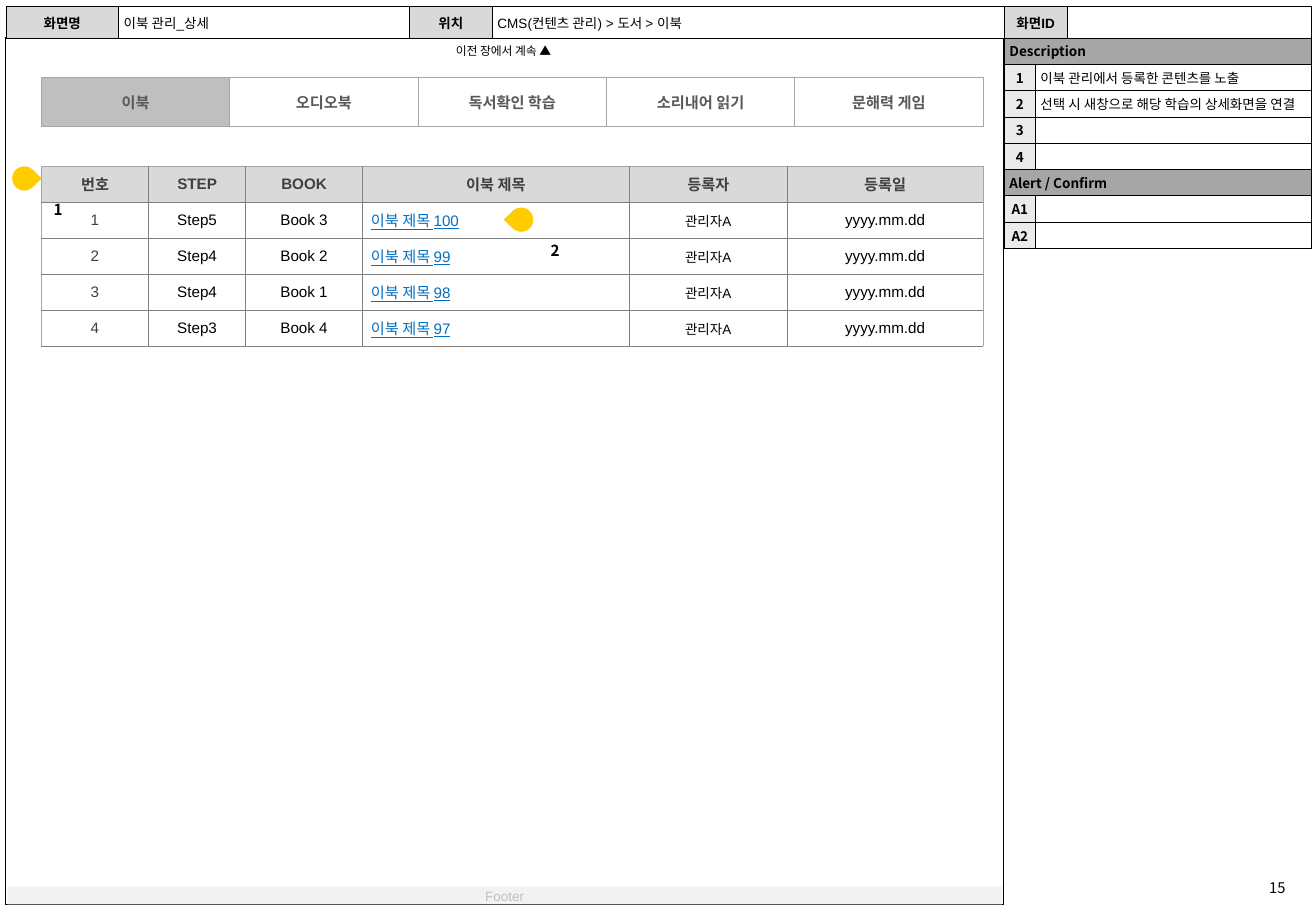
import pptx
import pptx.dml.color
import pptx.enum.shapes
import pptx.enum.text
import pptx.oxml
import pptx.oxml.ns
import pptx.util

Pt = pptx.util.Pt
ALIGN = pptx.enum.text.PP_ALIGN
SHAPE = pptx.enum.shapes.MSO_SHAPE
MIDDLE = pptx.enum.text.MSO_ANCHOR.MIDDLE
NOTO = "Noto Sans CJK KR"
COLORS = {
    "black": "000000", "white": "FFFFFF", "link": "0070C0", "marker": "FFCC00",
    "dark": "404040", "tab_text": "595959", "grid": "808080", "edge": "A6A6A6",
    "selected": "BFBFBF", "header": "D9D9D9", "number": "EAEAEA", "footer": "F2F2F2",
}


def rgb(name):
    return pptx.dml.color.RGBColor.from_string(COLORS[name])


class Storyboard:
    def __init__(self, slide):
        self.slide = slide

    def set_text(self, frame, text, size, font=NOTO, color="black", bold=False,
                 align=ALIGN.CENTER, underline=False, before=0, after=0):
        para = frame.paragraphs[0]
        para.text = text
        para.alignment = align
        para.space_before, para.space_after = Pt(before), Pt(after)
        para.font.size, para.font.name = Pt(size), font
        para.font.bold, para.font.underline = bold, underline
        para.font.color.rgb = rgb(color)
        # Korean glyphs take the East Asian typeface
        latin = para._p.find(".//" + pptx.oxml.ns.qn("a:latin"))
        latin.addnext(pptx.oxml.parse_xml(
            f'<a:ea {pptx.oxml.ns.nsdecls("a")} typeface="{NOTO}"/>'))

    def shape(self, kind, left, top, width, height, fill=None, line=None, parent=None):
        shapes = (parent or self.slide).shapes
        shape = shapes.add_shape(kind, Pt(left), Pt(top), Pt(width), Pt(height))
        shape.shadow.inherit = False
        if fill:
            shape.fill.solid()
            shape.fill.fore_color.rgb = rgb(fill)
        else:
            shape.fill.background()
        if line:
            shape.line.color.rgb = rgb(line)
            shape.line.width = Pt(0.25)
        else:
            shape.line.fill.background()
        return shape

    def text(self, left, top, width, height, text, size, parent=None, wrap=False, **style):
        shapes = (parent or self.slide).shapes
        box = shapes.add_textbox(Pt(left), Pt(top), Pt(width), Pt(height))
        box.text_frame.word_wrap = wrap
        self.set_text(box.text_frame, text, size, **style)

    def table(self, left, top, widths, row_height, row_count):
        frame = self.slide.shapes.add_table(
            row_count, len(widths), Pt(left), Pt(top), Pt(sum(widths)),
            Pt(row_height * row_count))
        table = frame.table
        table.first_row = table.horz_banding = False
        for column, width in zip(table.columns, widths):
            column.width = Pt(width)
        for row in table.rows:
            row.height = Pt(row_height)
        return table

    def cell(self, cell, text, size, fill="white", borders=("black",) * 4,
             margins=(3, 2), **style):
        """Fill one cell; borders run left, right, top, bottom."""
        cell.vertical_anchor = MIDDLE
        cell.margin_left = cell.margin_right = Pt(margins[0])
        cell.margin_top = cell.margin_bottom = Pt(margins[1])
        cell.fill.solid()
        cell.fill.fore_color.rgb = rgb(fill)
        self.set_text(cell.text_frame, text, size, **style)
        properties = cell._tc.get_or_add_tcPr()
        for index, (side, color) in enumerate(zip("LRTB", borders)):
            properties.insert(index, pptx.oxml.parse_xml(
                f'<a:ln{side} {pptx.oxml.ns.nsdecls("a")} w="{Pt(0.25)}"><a:solidFill>'
                f'<a:srgbClr val="{COLORS[color]}"/></a:solidFill></a:ln{side}>'))

    def marker(self, left, top, number, rotation):
        group = self.slide.shapes.add_group_shape()
        drop = self.shape(SHAPE.TEAR, left, top, 14.4, 14.4, fill="marker", parent=group)
        drop.adjustments[0] = 1.02
        drop.rotation = rotation
        self.text(left + 17.3, top + 16.5, 20, 18, number, 9, parent=group, bold=True)


def add_frame(board):
    board.shape(SHAPE.RECTANGLE, 2.9, 21.9, 591.8, 514, line="black")
    board.text(259.2, 22.3, 78.5, 16, "이전 장에서 계속 ▲", 7)
    board.text(736.6, 517.5, 41, 18.7, "15", 8.7, wrap=True)
    footer = board.shape(SHAPE.RECTANGLE, 4.3, 525.6, 589.7, 10.6, fill="footer")
    footer.text_frame.vertical_anchor = MIDDLE
    footer.text_frame.margin_top = footer.text_frame.margin_bottom = 0
    board.set_text(footer.text_frame, "Footer", 8, font="Arial", color="selected")


def add_screen_header(board):
    texts = ["화면명", "이북 관리_상세", "위치", "CMS(컨텐츠 관리) > 도서 > 이북", "화면ID", ""]
    table = board.table(3.6, 3.9, [66.7, 172.4, 49.2, 303.4, 37.3, 144.6], 18.6, 1)
    for index, text in enumerate(texts):
        label = index % 2 == 0
        board.cell(table.cell(0, index), text, 8, fill="header" if label else "white",
                   font="Arial", bold=label, before=1.6,
                   align=ALIGN.CENTER if label else ALIGN.LEFT)


def add_description(board):
    rows = [("Description", None), ("1", "이북 관리에서 등록한 콘텐츠를 노출"),
            ("2", "선택 시 새창으로 해당 학습의 상세화면을 연결"), ("3", ""), ("4", ""),
            ("Alert / Confirm", None), ("A1", ""), ("A2", "")]
    table = board.table(595.3, 22.4, [18.4, 163.6], 15.6, len(rows))
    for index, (label, text) in enumerate(rows):
        heading = text is None
        if heading:
            table.cell(index, 0).merge(table.cell(index, 1))
        board.cell(table.cell(index, 0), label, 8, fill="edge" if heading else "number",
                   bold=True, before=1.6, align=ALIGN.LEFT if heading else ALIGN.CENTER)
        board.cell(table.cell(index, 1), text or "", 8, before=1.6, align=ALIGN.LEFT)


def add_tabs(board):
    tabs = ["이북", "오디오북", "독서확인 학습", "소리내어 읽기", "문해력 게임"]
    table = board.table(24.5, 46, [111.64] * len(tabs), 29, 1)
    for index, text in enumerate(tabs):
        board.cell(table.cell(0, index), text, 9, fill="white" if index else "selected",
                   borders=("edge",) * 4, color="tab_text", bold=True)


def add_book_list(board):
    headings = ["번호", "STEP", "BOOK", "이북 제목", "등록자", "등록일"]
    books = [("Step5", "Book 3", 100), ("Step4", "Book 2", 99),
             ("Step4", "Book 1", 98), ("Step3", "Book 4", 97)]
    rows = [headings] + [
        [str(number), step, book, f"이북 제목 {title}", "관리자A", "yyyy.mm.dd"]
        for number, (step, book, title) in enumerate(books, 1)]
    column_styles = {0: {"color": "dark"}, 4: {"size": 8},
                     3: {"color": "link", "underline": True, "align": ALIGN.LEFT}}
    heading_style = {"color": "dark", "bold": True, "fill": "header"}
    table = board.table(24.5, 98.6, [63.6, 57.5, 69.3, 158.2, 93.6, 116], 21.33, len(rows))
    for row, texts in enumerate(rows):
        for column, text in enumerate(texts):
            style = column_styles.get(column, {}) if row else heading_style
            borders = ("grid" if column else "edge",
                       "edge" if column == len(headings) - 1 else "grid",
                       "grid" if row else "edge", "grid")
            board.cell(table.cell(row, column), text, borders=borders, margins=(5, 4),
                       font="Arial", after=4, **({"size": 9} | style))


def main():
    deck = pptx.Presentation()
    deck.slide_width, deck.slide_height = Pt(780), Pt(540)
    board = Storyboard(deck.slides.add_slide(deck.slide_layouts[6]))
    add_frame(board)
    add_screen_header(board)
    add_description(board)
    add_tabs(board)
    add_book_list(board)
    board.marker(7.2, 98.6, "1", 45)
    board.marker(301.7, 123, "2", 225)
    deck.save("out.pptx")


if __name__ == "__main__":
    main()
